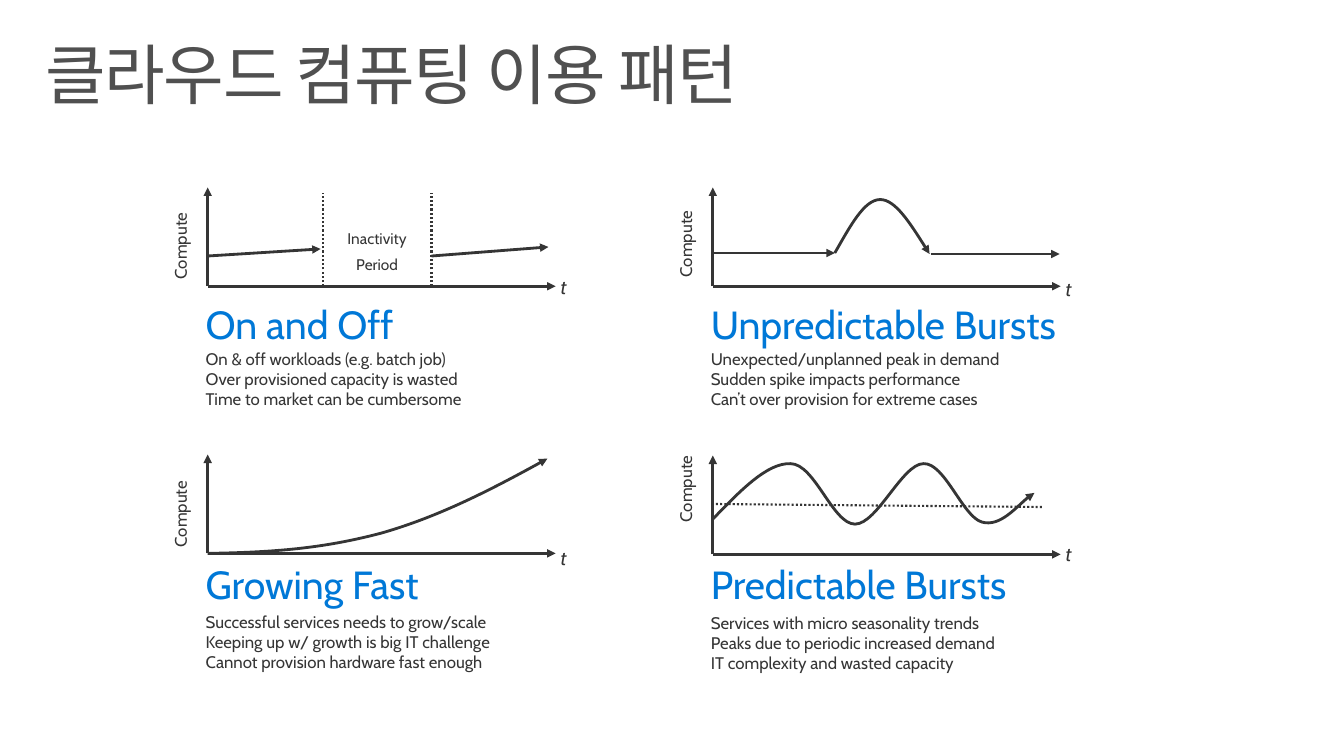
from dataclasses import dataclass

from pptx import Presentation
from pptx import util as u
from pptx.dml.color import RGBColor
from pptx.enum import dml, shapes, text
from pptx.oxml.ns import qn
from lxml import etree

PX = 9144
INK = RGBColor(0x35, 0x35, 0x35)
BLUE = RGBColor(0x00, 0x78, 0xD7)
GREY = RGBColor(0x50, 0x50, 0x50)
LATIN = "Cabin"
KOREAN = "Noto Sans CJK KR"
AXIS_LENGTH = 345
AXIS_HEIGHT = 98


@dataclass
class Pattern:
    origin: tuple
    heading: str
    points: list
    heading_dy: int
    points_dy: int
    compute_dy: int
    t_dy: int
    arrows: tuple = ()
    dotted: tuple = ()
    curve: tuple = ()
    note: str = ""


PATTERNS = [
    Pattern((206, 284), "On and Off",
            ["On & off workloads (e.g. batch job)",
             "Over provisioned capacity is wasted",
             "Time to market can be cumbersome"],
            14, 62, -40, -11,
            arrows=((0, -30, 112, -37), (222, -30, 338, -39)),
            dotted=((114, 0, 114, -93), (222, 0, 222, -93)),
            note="Inactivity\nPeriod"),
    Pattern((707, 284), "Unpredictable Bursts",
            ["Unexpected/unplanned peak in demand",
             "Sudden spike impacts performance",
             "Can’t over provision for extreme cases"],
            14, 62, -42, -9,
            arrows=((0, -33, 121, -33), (216, -32, 344, -32)),
            curve=((121, -33), (136, -59), (150, -86), (166, -86),
                   (181, -86), (198, -59), (215, -32))),
    Pattern((206, 549), "Growing Fast",
            ["Successful services needs to grow/scale",
             "Keeping up w/ growth is big IT challenge",
             "Cannot provision hardware fast enough"],
            7, 58, -39, -7,
            curve=((0, 0), (67, -1), (115, -5), (172, -20),
                   (228, -36), (283, -64), (337, -94))),
    Pattern((707, 550), "Predictable Bursts",
            ["Services with micro seasonality trends",
             "Peaks due to periodic increased demand",
             "IT complexity and wasted capacity"],
            6, 58, -65, -12,
            dotted=((3, -50, 327, -47),),
            curve=((0, -35), (27, -63), (54, -91), (77, -90),
                   (101, -90), (119, -30), (141, -30),
                   (163, -30), (188, -90), (209, -90),
                   (230, -91), (248, -37), (267, -32),
                   (285, -27), (309, -56), (319, -61))),
]


def place(shape, left, top, width, height):
    shape.left, shape.top = left * PX, top * PX
    shape.width, shape.height = width * PX, height * PX


def write(shape, words, size, color, inset=(0, 0), font=LATIN, italic=False,
          align=text.PP_ALIGN.LEFT, leading=1.0, before=0, after=0):
    frame = shape.text_frame
    frame.text = words
    frame.word_wrap = True
    frame.auto_size = text.MSO_AUTO_SIZE.NONE
    frame.vertical_anchor = text.MSO_ANCHOR.TOP
    frame.margin_left = frame.margin_right = inset[0] * PX
    frame.margin_top = frame.margin_bottom = inset[1] * PX
    for paragraph in frame.paragraphs:
        paragraph.alignment = align
        paragraph.line_spacing = leading
        paragraph.space_before = u.Pt(before)
        paragraph.space_after = u.Pt(after)
        for run in paragraph.runs:
            run.font.name = font
            run.font.size = u.Pt(size)
            run.font.bold = False
            run.font.italic = italic
            run.font.color.rgb = color
    return frame


def add_label(slide, box, words, size, color, **style):
    label = slide.shapes.add_textbox(*(length * PX for length in box))
    write(label, words, size, color, **style)
    return label


def style_stroke(shape, dotted=False):
    shape.line.color.rgb = INK
    shape.line.width = u.Pt(1.5 if dotted else 2)
    if dotted:
        shape.line.dash_style = dml.MSO_LINE.ROUND_DOT
    else:
        stroke = shape.element.spPr.find(qn("a:ln"))
        etree.SubElement(stroke, qn("a:tailEnd"), type="triangle")


def add_stroke(slide, origin, ends, dotted=False):
    x, y = origin
    x1, y1, x2, y2 = ends
    stroke = slide.shapes.add_connector(
        shapes.MSO_CONNECTOR.STRAIGHT,
        (x + x1) * PX, (y + y1) * PX, (x + x2) * PX, (y + y2) * PX)
    style_stroke(stroke, dotted)
    etree.SubElement(stroke.element.spPr, qn("a:effectLst"))


def add_curve(slide, origin, knots):
    x, y = origin
    spots = [(x + dx, y + dy) for dx, dy in knots]
    builder = slide.shapes.build_freeform(*spots[0], scale=PX)
    builder.add_line_segments(spots[1:], close=False)
    curve = builder.convert_to_shape()
    legs = list(curve.element.iter(qn("a:lnTo")))
    for first in range(0, len(legs), 3):
        bend = etree.Element(qn("a:cubicBezTo"))
        legs[first].addprevious(bend)
        for leg in legs[first:first + 3]:
            bend.append(leg[0])
            leg.getparent().remove(leg)
    curve.fill.background()
    curve.shadow.inherit = False
    style_stroke(curve)


def add_graph(slide, pattern):
    x, y = pattern.origin
    add_stroke(slide, pattern.origin, (0, 0, 0, -AXIS_HEIGHT))
    add_stroke(slide, pattern.origin, (0, 0, AXIS_LENGTH, 0))
    for ends in pattern.arrows:
        add_stroke(slide, pattern.origin, ends)
    for ends in pattern.dotted:
        add_stroke(slide, pattern.origin, ends, dotted=True)
    if pattern.curve:
        add_curve(slide, pattern.origin, pattern.curve)
    compute = add_label(slide, (x - 80, y + pattern.compute_dy - 13, 112, 26),
                        "Compute", 12, INK, inset=(10, 5), before=2.4,
                        align=text.PP_ALIGN.CENTER, leading=u.Pt(10.7))
    compute.rotation = 270
    add_label(slide, (x + 350, y + pattern.t_dy, 23, 23), "t", 14, INK,
              italic=True, before=2.8)
    if pattern.note:
        add_label(slide, (x + 107, y - 58, 122, 52), pattern.note, 11, INK,
                  inset=(10, 5), align=text.PP_ALIGN.CENTER,
                  leading=u.Pt(10.7), after=8)


def add_description(slide, pattern, points):
    x, y = pattern.origin
    add_label(slide, (x - 2, y + pattern.heading_dy, 420, 53), pattern.heading,
              28, BLUE, inset=(0, 5), leading=0.9, before=5.6)
    place(points, x - 2, y + pattern.points_dy, 395, 61)
    frame = write(points, "\n".join(pattern.points), 12, INK)
    for paragraph in frame.paragraphs:
        properties = paragraph._p.get_or_add_pPr()
        properties.set("marL", "0")
        properties.set("indent", "0")
        etree.SubElement(properties, qn("a:buNone"))


def add_title(slide, box):
    title = slide.shapes.title
    place(title, *box)
    frame = write(title, "클라우드 컴퓨팅 이용 패턴", 47, GREY, inset=(16, 10),
                  font=KOREAN, leading=0.9)
    properties = frame.paragraphs[0].runs[0]._r.get_or_add_rPr()
    properties.set("spc", "-100")
    east_asian = etree.Element(qn("a:ea"), typeface=KOREAN)
    properties.find(qn("a:latin")).addnext(east_asian)


def main():
    deck = Presentation()
    deck.slide_width, deck.slide_height = 1333 * PX, 750 * PX
    slide = deck.slides.add_slide(deck.slide_layouts.get_by_name("Comparison"))
    add_title(slide, (29, 32, 1275, 98))
    bodies = [body for body in slide.placeholders
              if body.placeholder_format.idx > 0]
    for pattern, points in zip(PATTERNS, bodies):
        add_graph(slide, pattern)
        add_description(slide, pattern, points)
    deck.save("out.pptx")


if __name__ == "__main__":
    main()
